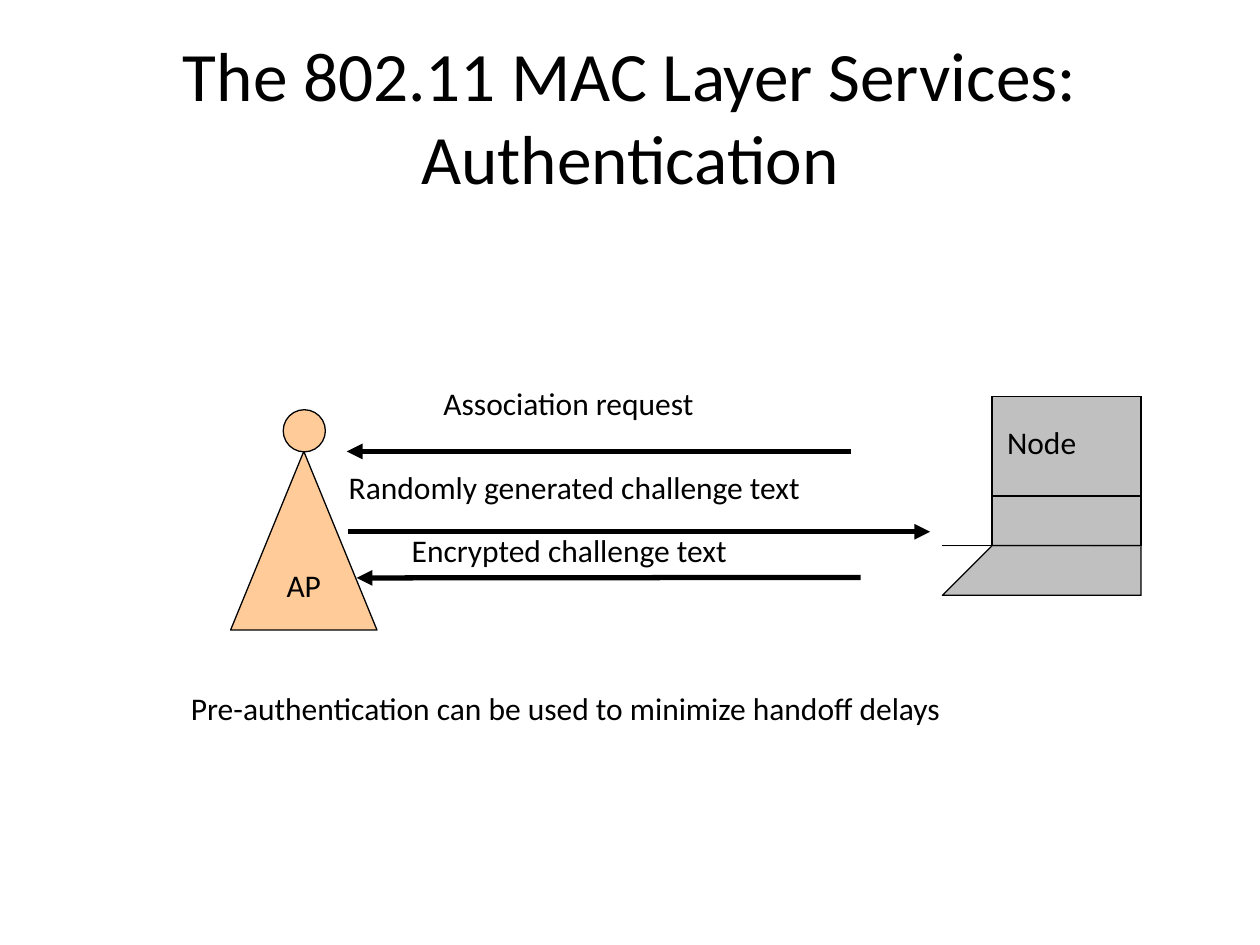
from copy import deepcopy

from lxml import etree
from pptx import Presentation
from pptx.dml.color import RGBColor
from pptx.enum.shapes import MSO_CONNECTOR, MSO_SHAPE
from pptx.enum.text import MSO_ANCHOR, MSO_AUTO_SIZE, PP_ALIGN
from pptx.oxml.ns import qn
from pptx.util import Cm, Pt

STRAIGHT = MSO_CONNECTOR.STRAIGHT
TRIANGLE, OVAL = MSO_SHAPE.ISOSCELES_TRIANGLE, MSO_SHAPE.OVAL
TOP, MIDDLE = MSO_ANCHOR.TOP, MSO_ANCHOR.MIDDLE
LEFT, CENTER = PP_ALIGN.LEFT, PP_ALIGN.CENTER
NO_FIT = MSO_AUTO_SIZE.NONE

BLACK, PEACH, SILVER = "000000", "FFCC99", "C0C0C0"

LAPTOP_CENTER = 21.27
LAPTOP_PARTS = [
    (7.82, 10.52, 1.54, 1.54),
    (10.64, 11.53, 1.54, 2.22),
    (11.53, 11.86, 2.22, 2.22),
    (8.10, 10.21, 1.37, 1.37),
    (10.72, 10.82, 1.54, 1.63),
    (11.25, 11.35, 0.97, 1.02),
    (10.90, 11.00, 1.65, 1.74),
    (11.07, 11.18, 1.75, 1.85),
]
MESSAGES = [
    ("Association request", (8.69, 7.62, 8.69, 1.3), (17.15, 9.1, 6.99, 9.1)),
    ("Randomly generated challenge text", (6.78, 9.31, 17.35, 1.7), (7.01, 10.72, 18.75, 10.72)),
    ("Encrypted challenge text", (8.05, 10.58, 10.36, 1.3), (17.35, 11.64, 7.19, 11.65)),
]


def color(value):
    return RGBColor.from_string(value)


class SlideBuilder:
    font = "Calibri"
    size = 18
    outline = 0.75

    def __init__(self, page):
        self.page = page

    def set_text(self, shape, text, align=LEFT, anchor=TOP, size=None, wrap=True):
        frame = shape.text_frame
        frame.text = text
        frame.word_wrap = wrap
        frame.vertical_anchor = anchor
        para = frame.paragraphs[0]
        para.alignment = align
        para.font.name = self.font
        para.font.size = Pt(size or self.size)
        para.font.color.rgb = color(BLACK)

    def paint(self, shape, fill):
        shape.shadow.inherit = False
        shape.fill.solid()
        shape.fill.fore_color.rgb = color(fill)
        shape.line.color.rgb = color(BLACK)
        shape.line.width = Pt(self.outline)

    def title(self, text, area, size):
        box = self.page.shapes.title
        box.left, box.top, box.width, box.height = map(Cm, area)
        self.set_text(box, text, CENTER, MIDDLE, size)
        box.text_frame.auto_size = NO_FIT

    def label(self, text, area):
        box = self.page.shapes.add_textbox(*map(Cm, area))
        self.set_text(box, text)

    def shape(self, kind, area, fill):
        shape = self.page.shapes.add_shape(kind, *map(Cm, area))
        self.paint(shape, fill)
        return shape

    def arrow(self, ends, width=3):
        connector = self.page.shapes.add_connector(STRAIGHT, *map(Cm, ends))
        connector.line.color.rgb = color(BLACK)
        connector.line.width = Pt(width)
        properties = connector._element.spPr
        etree.SubElement(properties.find(qn("a:ln")), qn("a:tailEnd"), type="triangle")
        etree.SubElement(properties, qn("a:effectLst"))

    def trapezoids(self, center, parts, fill):
        builder = None
        for top, bottom, upper, lower in parts:
            start = (center - upper, top)
            if builder is None:
                builder = self.page.shapes.build_freeform(*start, scale=Cm(1))
            else:
                builder.move_to(*start)
            builder.add_line_segments(
                [(center + upper, top), (center + lower, bottom), (center - lower, bottom)]
            )
        shape = builder.convert_to_shape()
        self.paint(shape, fill)
        self.split_contours(shape)
        return shape

    def split_contours(self, shape):
        outlines = next(shape._element.iter(qn("a:pathLst")))
        combined = outlines[0]
        steps = list(combined)
        empty = deepcopy(combined)
        for step in list(empty):
            empty.remove(step)
        outlines.remove(combined)
        for step in steps:
            if step.tag == qn("a:moveTo"):
                outlines.append(deepcopy(empty))
            outlines[-1].append(step)


def main():
    deck = Presentation()
    deck.slide_width, deck.slide_height = Cm(25.4), Cm(19.05)
    builder = SlideBuilder(deck.slides.add_slide(deck.slide_layouts[5]))

    builder.title("The 802.11 MAC Layer Services: Authentication", (0, 1.27, 25.4, 2.11), 39.6)

    laptop = builder.trapezoids(LAPTOP_CENTER, LAPTOP_PARTS, SILVER)
    builder.set_text(laptop, "Node", CENTER)
    laptop.text_frame.margin_top = Cm(0.53)

    tower = builder.shape(TRIANGLE, (4.65, 9.1, 2.95, 3.6), PEACH)
    builder.set_text(tower, "AP", CENTER, MIDDLE, wrap=False)
    builder.shape(OVAL, (5.71, 8.26, 0.85, 0.85), PEACH)

    for text, area, ends in MESSAGES:
        builder.arrow(ends)
        builder.label(text, area)

    builder.label(
        "Pre-authentication can be used to minimize handoff delays", (3.6, 13.76, 18.2, 2.33)
    )
    deck.save("out.pptx")


if __name__ == "__main__":
    main()
